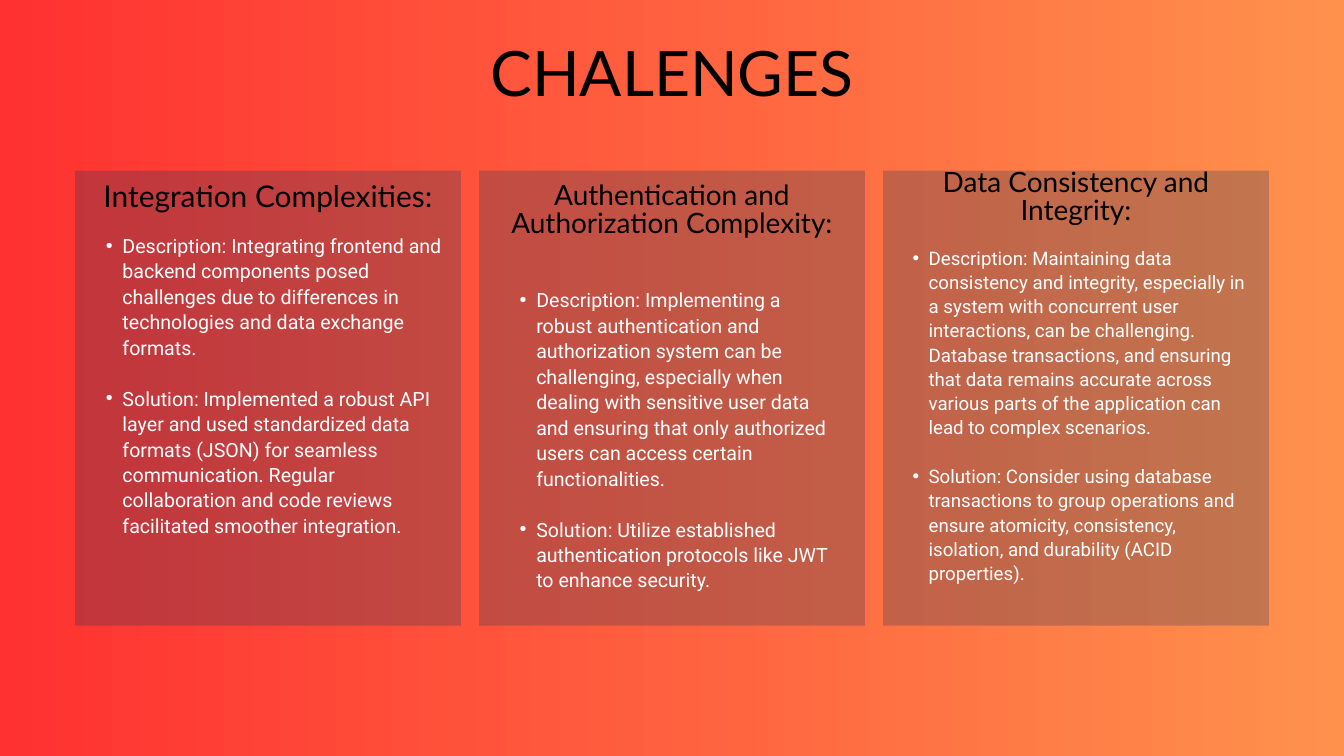
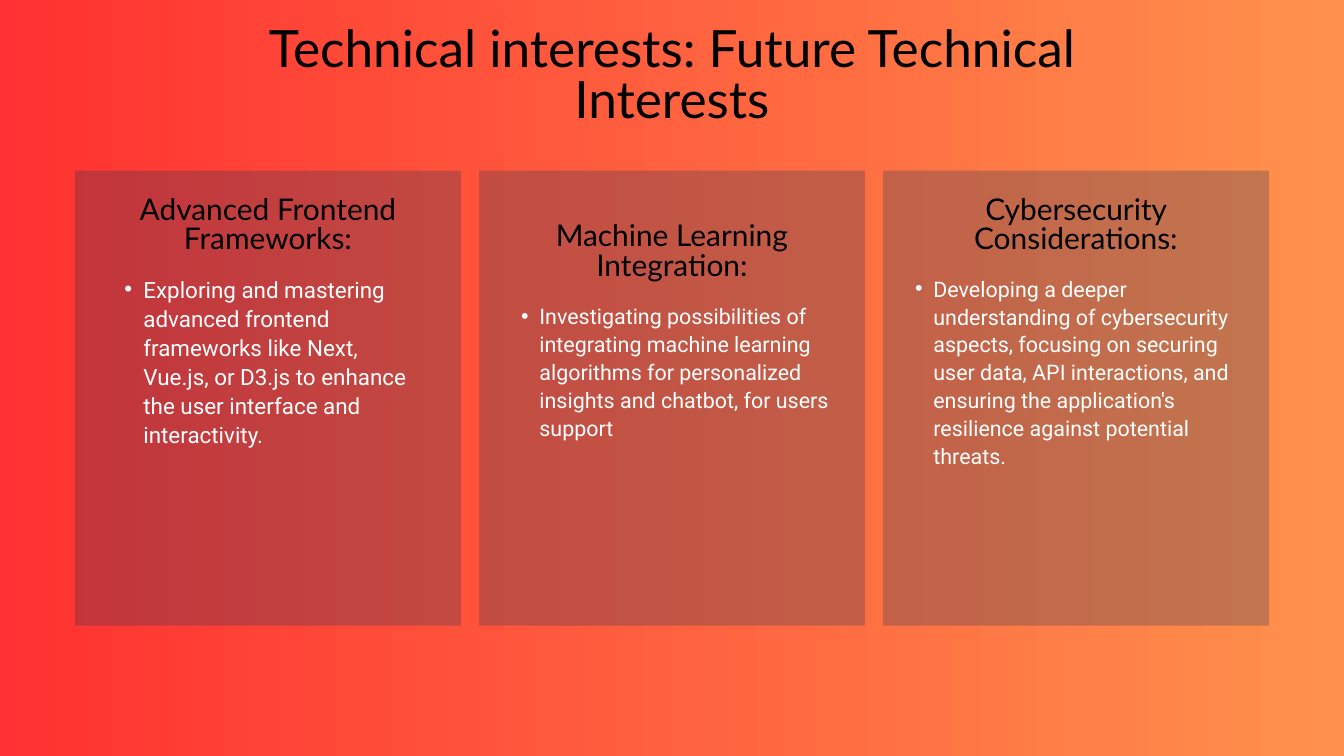
from dataclasses import dataclass

from lxml import etree
from pptx import Presentation
from pptx.dml.color import RGBColor
from pptx.enum.shapes import MSO_SHAPE
from pptx.enum.text import MSO_ANCHOR, MSO_AUTO_SIZE, PP_ALIGN
from pptx.oxml.ns import qn
from pptx.util import Cm, Pt

RECTANGLE = MSO_SHAPE.RECTANGLE
TOP = MSO_ANCHOR.TOP
GROW = MSO_AUTO_SIZE.SHAPE_TO_FIT_TEXT
CENTER, LEFT = PP_ALIGN.CENTER, PP_ALIGN.LEFT

SLIDE_WIDTH, SLIDE_HEIGHT = 50.8, 28.58
PANEL_WIDTH, PANEL_HEIGHT = 14.58, 17.2
PANEL_TOP, PANEL_PITCH = 6.45, 15.27
PANEL_COUNT = 3
BODY_LINE_RATIO = 1.3
INDENT_PER_POINT = 0.06


def color(value):
    return RGBColor.from_string(value)


def apply(target, values):
    for name, value in values.items():
        setattr(target, name, value)


@dataclass
class Block:
    """Text box content; top, width and height are in centimetres."""
    top: float
    width: float
    height: float
    size: int
    paragraphs: list
    right_inset: float = 0


class ChallengeDeck:
    background = ("FF3131", "FF914D")
    panel_color, panel_opacity = "163459", 26
    heading_font = {"name": "Lato", "color": "000000"}
    body_font = {"name": "Roboto", "color": "FFFFFF"}

    def __init__(self):
        self.deck = Presentation()
        apply(self.deck, {"slide_width": Cm(SLIDE_WIDTH),
                          "slide_height": Cm(SLIDE_HEIGHT)})
        self.page = None

    def add_page(self):
        self.page = self.deck.slides.add_slide(self.deck.slide_layouts[6])
        fill = self.page.background.fill
        fill.gradient()
        fill.gradient_angle = 0
        for position, (stop, value) in enumerate(zip(fill.gradient_stops, self.background)):
            stop.color.rgb = color(value)
            stop.position = position

    def add_panel(self, center):
        panel = self.page.shapes.add_shape(
            RECTANGLE, Cm(center - PANEL_WIDTH / 2), Cm(PANEL_TOP),
            Cm(PANEL_WIDTH), Cm(PANEL_HEIGHT))
        panel.shadow.inherit = False
        panel.line.fill.background()
        panel.fill.solid()
        panel.fill.fore_color.rgb = color(self.panel_color)
        tint = panel.fill._xPr.find(".//" + qn("a:srgbClr"))
        etree.SubElement(tint, qn("a:alpha"), val=str(self.panel_opacity * 1000))

    def add_text(self, block, center, font, line_ratio=1.0, bulleted=False):
        box = self.page.shapes.add_textbox(
            Cm(center - block.width / 2), Cm(block.top),
            Cm(block.width), Cm(block.height))
        frame = box.text_frame
        apply(frame, {"margin_left": 0, "margin_top": 0, "margin_bottom": 0,
                      "margin_right": Cm(block.right_inset), "word_wrap": True,
                      "auto_size": GROW, "vertical_anchor": TOP})
        spacing = Pt(block.size * line_ratio)
        for index, text in enumerate(block.paragraphs):
            para = frame.add_paragraph() if index else frame.paragraphs[0]
            apply(para, {"line_spacing": spacing,
                         "alignment": LEFT if bulleted else CENTER})
            if index:
                para.space_before = spacing
            if bulleted:
                self.add_bullet(para, Cm(block.size * INDENT_PER_POINT))
            span = para.add_run()
            span.text = text
            apply(span.font, {"name": font["name"], "size": Pt(block.size)})
            span.font.color.rgb = color(font["color"])

    def add_bullet(self, para, indent):
        """Hang the bullet at half of the indent."""
        properties = para._p.get_or_add_pPr()
        properties.set("marL", str(indent))
        properties.set("indent", str(-(indent // 2)))
        etree.SubElement(properties, qn("a:buFont"), typeface="Arial")
        etree.SubElement(properties, qn("a:buChar"), char="•")

    def add_column_page(self, title, columns):
        self.add_page()
        centers = [SLIDE_WIDTH / 2 + (index - (PANEL_COUNT - 1) / 2) * PANEL_PITCH
                   for index in range(PANEL_COUNT)]
        for center in centers:
            self.add_panel(center)
        for center, (heading, body) in zip(centers, columns):
            self.add_text(heading, center, self.heading_font)
            self.add_text(body, center, self.body_font, BODY_LINE_RATIO, bulleted=True)
        self.add_text(title, SLIDE_WIDTH / 2, self.heading_font)


CHALLENGES_TITLE = Block(1.75, 31.7, 2.51, 67, ["CHALENGES"])
CHALLENGES = [
    (Block(6.93, 13.52, 1.3, 32, ["Integration Complexities:"]),
     Block(8.76, 13.52, 15.06, 21, [
         "Description: Integrating frontend and backend components posed challenges "
         "due to differences in technologies and data exchange formats.",
         "Solution: Implemented a robust API layer and used standardized data formats "
         "(JSON) for seamless communication. Regular collaboration and code reviews "
         "facilitated smoother integration."])),
    (Block(6.93, 12.78, 3.35, 30, ["Authentication and Authorization Complexity:"]),
     Block(10.82, 12.78, 11.4, 21, [
         "Description: Implementing a robust authentication and authorization system "
         "can be challenging, especially when dealing with sensitive user data and "
         "ensuring that only authorized users can access certain functionalities.",
         "Solution: Utilize established authentication protocols like JWT to enhance "
         "security."])),
    (Block(6.43, 13.54, 2.29, 30, ["Data Consistency and Integrity:"]),
     Block(9.25, 13.54, 15.37, 20, [
         "Description: Maintaining data consistency and integrity, especially in a "
         "system with concurrent user interactions, can be challenging. Database "
         "transactions, and ensuring that data remains accurate across various parts "
         "of the application can lead to complex scenarios.",
         "Solution: Consider using database transactions to group operations and "
         "ensure atomicity, consistency, isolation, and durability (ACID "
         "properties)."])),
]

INTERESTS_TITLE = Block(0.99, 33.14, 3.99, 55,
                        ["Technical interests: Future Technical Interests"])
INTERESTS = [
    (Block(7.42, 12.3, 2.41, 32, ["Advanced Frontend Frameworks:"]),
     Block(10.34, 12.3, 9.6, 24, [
         "Exploring and mastering advanced frontend frameworks like Next, Vue.js, or "
         "D3.js to enhance the user interface and interactivity."], right_inset=0.6)),
    (Block(8.43, 12.78, 2.41, 32, ["Machine Learning Integration:"]),
     Block(11.38, 12.78, 5.11, 23, [
         "Investigating possibilities of integrating machine learning algorithms for "
         "personalized insights and chatbot, for users support"])),
    (Block(7.42, 13.54, 2.41, 32, ["Cybersecurity Considerations:"]),
     Block(10.34, 13.54, 8.2, 23, [
         "Developing a deeper understanding of cybersecurity aspects, focusing on "
         "securing user data, API interactions, and ensuring the application's "
         "resilience against potential threats."])),
]


def main():
    slides = ChallengeDeck()
    slides.add_column_page(CHALLENGES_TITLE, CHALLENGES)
    slides.add_column_page(INTERESTS_TITLE, INTERESTS)
    slides.deck.save("out.pptx")


if __name__ == "__main__":
    main()
